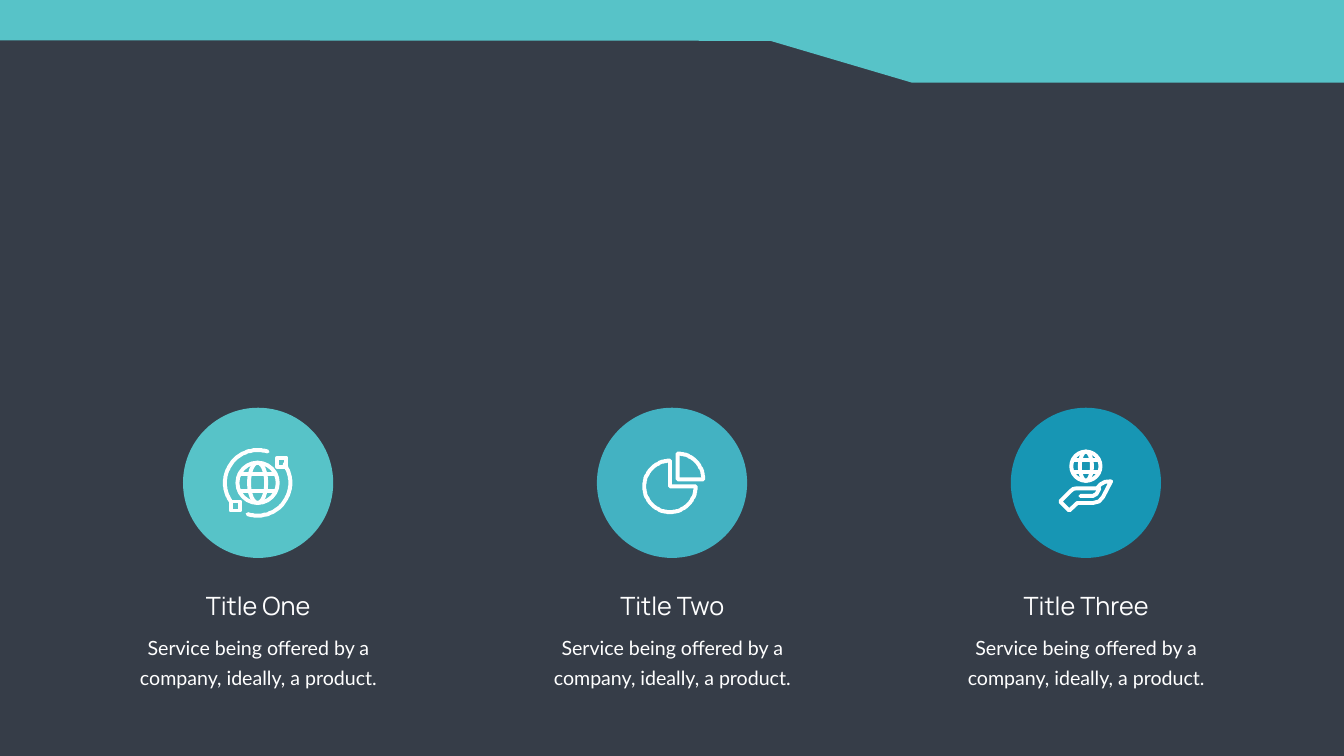
"""Build a dark slide with three services, each an icon in a disc above its caption."""
from dataclasses import dataclass
from math import cos, radians, sin
from typing import Callable

from lxml.etree import SubElement
from pptx import Presentation
from pptx.dml.color import RGBColor
from pptx.enum.shapes import MSO_CONNECTOR, MSO_SHAPE
from pptx.enum.text import MSO_AUTO_SIZE, PP_ALIGN
from pptx.oxml.ns import qn
from pptx.util import Pt

PX = 9144
WIDTH, HEIGHT = 2666, 1500
MID_Y, DISC_R = 958, 149
FIRST_X, PITCH = 512, 821
COLORS = {"bg": "363D48", "white": "FFFFFF", "aqua": "57C3C8", "teal": "43B2C2", "blue": "1796B4"}
BODY = "Service being offered by a company, ideally, a product."

Point = tuple[float, float]


@dataclass
class Service:
    title: str
    color: str
    title_w: int
    icon: Callable


def rgb(name: str) -> RGBColor:
    return RGBColor.from_string(COLORS[name])


def set_stroke(sp, width: float = 5.6) -> None:
    sp.line.color.rgb = rgb("white")
    sp.line.width = Pt(width)
    ln = sp.line._get_or_add_ln()
    ln.set("cap", "rnd")
    SubElement(ln, qn("a:round"))


def set_fill(sp, color: str) -> None:
    sp.shadow.inherit = False
    sp.fill.solid()
    sp.fill.fore_color.rgb = rgb(color)
    sp.line.fill.background()


def add_preset(shapes, kind, cx: int, cy: int, rx: int, ry: int):
    return shapes.add_shape(kind, *(v * PX for v in (cx - rx, cy - ry, 2 * rx, 2 * ry)))


def add_outline(shapes, kind, cx: int, cy: int, rx: int, ry: int) -> None:
    sp = add_preset(shapes, kind, cx, cy, rx, ry)
    sp.shadow.inherit = False
    sp.fill.background()
    set_stroke(sp)


def add_free(shapes, points: list[Point], close: bool = True):
    fb = shapes.build_freeform(*points[0], scale=PX)
    fb.add_line_segments(points[1:], close=close)
    return fb.convert_to_shape()


def add_stroke(shapes, points: list[Point], close: bool = True) -> None:
    sp = add_free(shapes, points, close)
    sp.shadow.inherit = False
    sp.fill.background()
    set_stroke(sp)


def add_line(shapes, x1: int, y1: int, x2: int, y2: int) -> None:
    cn = shapes.add_connector(MSO_CONNECTOR.STRAIGHT, *(v * PX for v in (x1, y1, x2, y2)))
    set_stroke(cn)
    SubElement(cn._element.spPr, qn("a:effectLst"))


def arc(cx: int, cy: int, r: int, start: int, end: int) -> list[Point]:
    n = max(1, abs(end - start) // 3)
    angles = [radians(start + (end - start) * i / n) for i in range(n + 1)]
    return [(cx + r * cos(a), cy + r * sin(a)) for a in angles]


def add_globe(shapes, cx: int, cy: int, r: int) -> None:
    inner = round(r * 0.42)
    half = round((r * r - inner * inner) ** 0.5)
    for rx in (r, inner):
        add_outline(shapes, MSO_SHAPE.OVAL, cx, cy, rx, r)
    for y in (cy - inner, cy + inner):
        add_line(shapes, cx - half, y, cx + half, y)


def draw_orbit(shapes) -> None:
    cx = 511
    add_globe(shapes, cx, MID_Y, 40)
    for start in (-72, 108):
        add_stroke(shapes, arc(cx, MID_Y, 65, start, start - 143), close=False)
    for x, y in ((467, 1004), (559, 917)):
        add_outline(shapes, MSO_SHAPE.RECTANGLE, x, y, 9, 9)


def draw_pie(shapes) -> None:
    for cx, cy, start, end in ((1329, 965, 0, 270), (1344, 951, -90, 0)):
        add_stroke(shapes, [(cx, cy), *arc(cx, cy, 51, start, end)])


def draw_hand(shapes) -> None:
    add_globe(shapes, 2154, 925, 29)
    add_stroke(shapes, [(2103, 995), (2124, 974), (2129, 970), (2135, 969), (2176, 969),
                        (2183, 961), (2192, 956), (2204, 955), (2188, 986), (2180, 995),
                        (2168, 998), (2137, 998), (2121, 1013)])
    add_stroke(shapes, [(2143, 984), (2168, 984), (2175, 980), (2181, 969)], close=False)


def add_text(s, text: str, left: int, top: int, width: int, height: int, *, font: str,
             size: int, wrap: bool, inset: Point = (10, 5), spacing: int | None = None) -> None:
    tb = s.shapes.add_textbox(*(v * PX for v in (left, top, width, height)))
    tf = tb.text_frame
    tf.word_wrap = wrap
    tf.auto_size = MSO_AUTO_SIZE.SHAPE_TO_FIT_TEXT
    tf.margin_left = tf.margin_right = inset[0] * PX
    tf.margin_top = tf.margin_bottom = inset[1] * PX
    p = tf.paragraphs[0]
    p.alignment = PP_ALIGN.CENTER
    if spacing:
        p.line_spacing = Pt(spacing)
    r = p.add_run()
    r.text = text
    r.font.name = font
    r.font.size = Pt(size)
    r.font.color.rgb = rgb("white")


def add_service(s, service: Service, cx: int) -> None:
    add_text(s, service.title, cx - service.title_w // 2, 1167, service.title_w, 71,
             font="Manrope", size=36, wrap=False)
    add_text(s, BODY, cx - 269, 1237, 539, 139, font="Lato", size=28, wrap=True,
             inset=(24, 12), spacing=43)
    set_fill(add_preset(s.shapes, MSO_SHAPE.OVAL, cx, MID_Y, DISC_R, DISC_R), service.color)
    service.icon(s.shapes.add_group_shape().shapes)


def main() -> None:
    prs = Presentation()
    prs.slide_width, prs.slide_height = WIDTH * PX, HEIGHT * PX
    s = prs.slides.add_slide(prs.slide_layouts[6])
    s.background.fill.solid()
    s.background.fill.fore_color.rgb = rgb("bg")
    services = [Service("Title One", "aqua", 242, draw_orbit),
                Service("Title Two", "teal", 241, draw_pie),
                Service("Title Three", "blue", 281, draw_hand)]
    for i, service in enumerate(services):
        add_service(s, service, FIRST_X + i * PITCH)
    band = [(0, 0), (WIDTH, 0), (WIDTH, 164), (1809, 164), (1528, 81), (0, 80)]
    set_fill(add_free(s.shapes, band), "aqua")
    prs.save("out.pptx")


if __name__ == "__main__":
    main()
